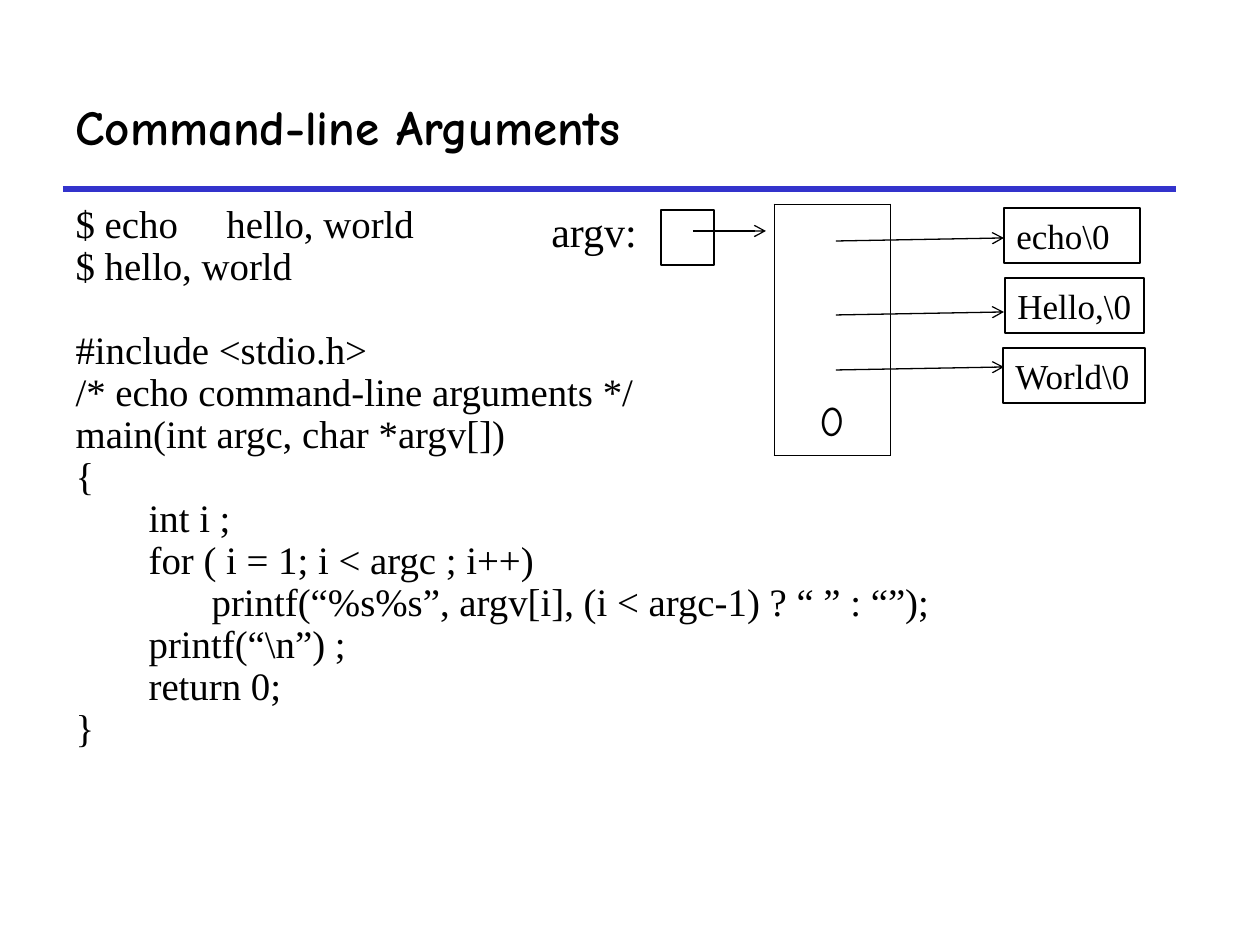
from lxml.etree import SubElement
from pptx import Presentation
from pptx.dml.color import RGBColor
from pptx.enum.shapes import MSO_CONNECTOR, MSO_SHAPE
from pptx.enum.text import MSO_ANCHOR, MSO_AUTO_SIZE, PP_ALIGN
from pptx.oxml import parse_xml
from pptx.oxml.ns import nsdecls, qn
from pptx.util import Pt

PX = 7257  # EMU per px, 126 px to the inch
INCH = 126 * PX
BLACK, BLUE, WHITE = "000000", "3333CC", "FFFFFF"
SERIF, COMIC = "Times New Roman", "Comic Neue"


def color(value):
    return RGBColor.from_string(value)


def format_text(tf, font, size, bold=False):
    for p in tf.paragraphs:
        for r in p.runs:
            r.font.name = font
            r.font.size = Pt(size)
            r.font.bold = bold
            r.font.color.rgb = color(BLACK)


prs = Presentation()
prs.slide_width, prs.slide_height = 1260 * PX, 945 * PX
s = prs.slides.add_slide(prs.slide_layouts[1])

# Title
title = s.shapes.title
title.left, title.top, title.width, title.height = 63 * PX, 63 * PX, 1113 * PX, 126 * PX
tf = title.text_frame
tf.text = "Command-line Arguments"
tf.auto_size = MSO_AUTO_SIZE.NONE
tf.vertical_anchor = MSO_ANCHOR.MIDDLE
tf.paragraphs[0].alignment = PP_ALIGN.LEFT
format_text(tf, COMIC, 28, True)

# Shell session and program code
code = [
    "$ echo     hello, world",
    "$ hello, world",
    "#include <stdio.h>",
    "/* echo command-line arguments */",
    "main(int argc, char *argv[])",
    "{",
    "\tint i ;",
    "\tfor ( i = 1; i < argc ; i++)",
    "\t\tprintf(“%s%s”, argv[i], (i < argc-1) ? “ ” : “”);",
    "\tprintf(“\\n”) ;",
    "\treturn 0;",
    "}",
]
body = s.placeholders[1]
body.left, body.top, body.width, body.height = 63 * PX, 199 * PX, 1144 * PX, 662 * PX
tf = body.text_frame
tf.text = "\n".join(code)
tf.auto_size = MSO_AUTO_SIZE.NONE
for p in tf.paragraphs:
    p.line_spacing = 0.9
    # The program starts one line below the session
    p.space_before = Pt(24 if p.text.startswith("#include") else 0)
    pPr = p._p.get_or_add_pPr()
    pPr.set("marL", str(73 * PX))
    pPr.set("indent", str(-73 * PX))
    SubElement(pPr, qn("a:buNone"))
    tabs = SubElement(pPr, qn("a:tabLst"))
    for stop in range(8):
        SubElement(tabs, qn("a:tab"), pos=str(stop * INCH), algn="l")
format_text(tf, SERIF, 22.2)

# The argv array: one outlined column ending in 0
rows = 4
frame = s.shapes.add_table(rows, 1, 774 * PX, 204 * PX, 116 * PX, rows * 63 * PX)
table = frame.table
table.first_row = table.horz_banding = False
table._tbl.tblPr.find(qn("a:tableStyleId")).text = "{2D5ABB26-0587-4C30-8999-92F81FD0307C}"
for i in range(rows):
    cell = table.cell(i, 0)
    cell.fill.solid()
    cell.fill.fore_color.rgb = color(WHITE)
    sides = ["lnL", "lnR"] + ["lnT"] * (i == 0) + ["lnB"] * (i == rows - 1)
    for n, side in enumerate(sides):
        border = parse_xml(
            f'<a:{side} {nsdecls("a")} w="{Pt(0.45)}"><a:solidFill>'
            f'<a:srgbClr val="{BLACK}"/></a:solidFill></a:{side}>')
        cell._tc.get_or_add_tcPr().insert(n, border)
tf = table.cell(rows - 1, 0).text_frame
tf.text = "0"
tf.paragraphs[0].alignment = PP_ALIGN.CENTER
format_text(tf, COMIC, 24)

# Argument strings and the empty argv pointer box
boxes = [
    ("echo\\0", 1004, 208, 136),
    ("Hello,\\0", 1005, 278, 139),
    ("World\\0", 1003, 348, 142),
    ("", 661, 210, 53),
]
for text, x, y, w in boxes:
    sp = s.shapes.add_shape(MSO_SHAPE.RECTANGLE, x * PX, y * PX, w * PX, 55 * PX)
    sp.shadow.inherit = False
    sp.fill.background()
    sp.line.color.rgb = color(BLACK)
    sp.line.width = Pt(0.75)
    if text:
        tf = sp.text_frame
        tf.text = text
        tf.word_wrap = False
        tf.vertical_anchor = MSO_ANCHOR.TOP
        tf.paragraphs[0].alignment = PP_ALIGN.LEFT
        tf.paragraphs[0].space_before = Pt(5)
        format_text(tf, SERIF, 20)

# Label of the pointer box
tf = s.shapes.add_textbox(539 * PX, 199 * PX, 111 * PX, 63 * PX).text_frame
tf.text = "argv:"
tf.word_wrap = False
tf.paragraphs[0].space_before = Pt(6)
format_text(tf, SERIF, 24)

# Title rule and pointer arrows
lines = [
    (63, 189, 1176, 189, BLUE, 3),
    (693, 231, 766, 231, BLACK, 0.75),
    (836, 241, 1004, 238, BLACK, 0.75),
    (836, 315, 1004, 312, BLACK, 0.75),
    (836, 370, 1004, 367, BLACK, 0.75),
]
for x1, y1, x2, y2, line_color, width in lines:
    line = s.shapes.add_connector(MSO_CONNECTOR.STRAIGHT, x1 * PX, y1 * PX, x2 * PX, y2 * PX)
    line.line.color.rgb = color(line_color)
    line.line.width = Pt(width)
    if line_color == BLACK:
        SubElement(line.line._get_or_add_ln(), qn("a:tailEnd"), type="arrow")
    SubElement(line._element.spPr, qn("a:effectLst"))

prs.save("out.pptx")
